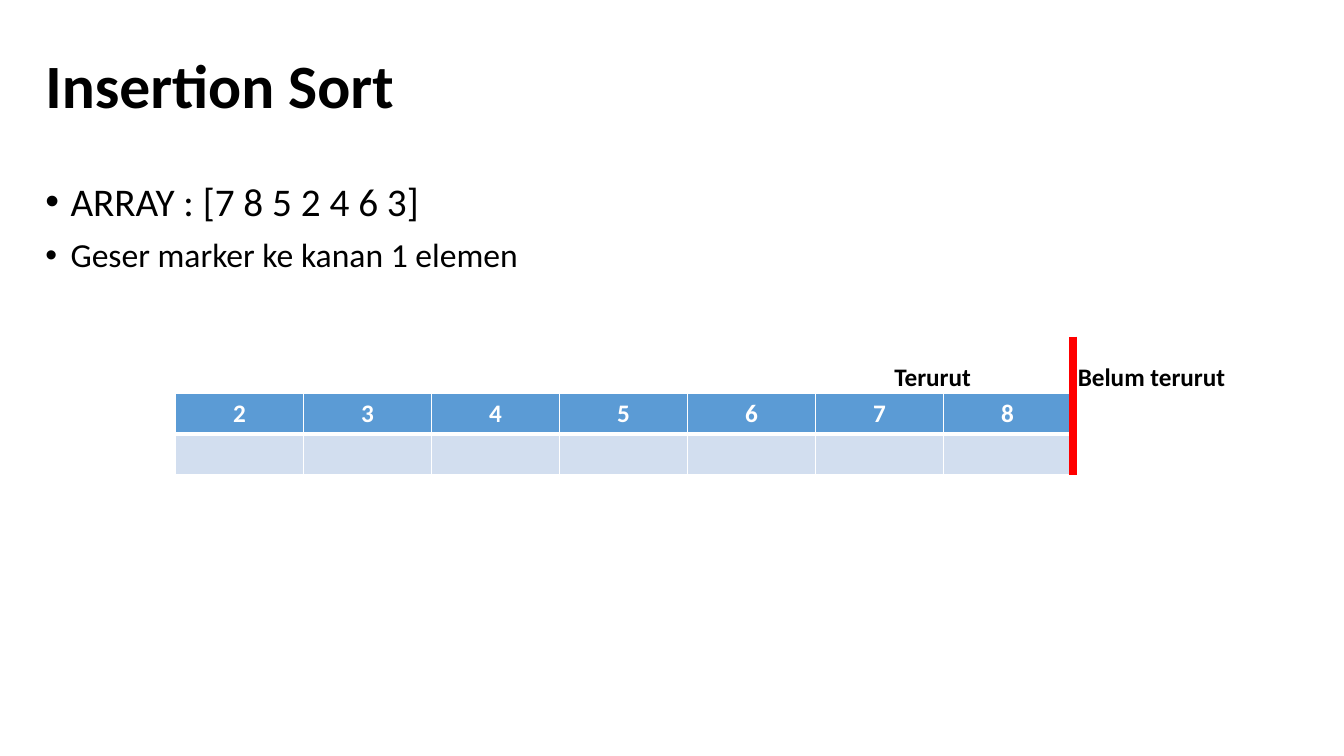
from pptx import Presentation
from pptx.dml.color import RGBColor
from pptx.enum.shapes import MSO_CONNECTOR
from pptx.enum.text import MSO_ANCHOR, MSO_AUTO_SIZE, PP_ALIGN
from pptx.oxml.ns import qn
from pptx.util import Inches, Pt
from lxml import etree

LEFT, CENTER = PP_ALIGN.LEFT, PP_ALIGN.CENTER
TOP, MIDDLE = MSO_ANCHOR.TOP, MSO_ANCHOR.MIDDLE
NO_FIT = MSO_AUTO_SIZE.NONE
STRAIGHT = MSO_CONNECTOR.STRAIGHT


def color(code):
    return RGBColor.from_string(code)


def write(para, text, size=18, bold=False, ink="000000", align=LEFT, font="Calibri"):
    para.alignment = align
    run = para.add_run()
    run.text = text
    run.font.name = font
    run.font.size = Pt(size)
    run.font.bold = bold
    run.font.color.rgb = color(ink)


class Deck:
    WHITE, BLUE, PALE, RED = "FFFFFF", "5B9BD5", "D2DEEF", "FF0000"

    def __init__(self):
        self.prs = Presentation()
        self.prs.slide_width = Inches(13.33)
        self.prs.slide_height = Inches(7.5)
        self.slide = self.prs.slides.add_slide(self.prs.slide_layouts[1])

    def frame(self, shape, box, anchor):
        shape.left, shape.top, shape.width, shape.height = map(Inches, box)
        frame = shape.text_frame
        frame.word_wrap = True
        frame.auto_size = NO_FIT
        frame.vertical_anchor = anchor
        return frame

    def title(self, text, box):
        para = self.frame(self.slide.shapes.title, box, MIDDLE).paragraphs[0]
        para.line_spacing = 0.9
        write(para, text, size=44, bold=True)

    def bullets(self, items, box):
        frame = self.frame(self.slide.placeholders[1], box, TOP)
        for i, (text, size, level) in enumerate(items):
            para = frame.add_paragraph() if i else frame.paragraphs[0]
            para.level = level
            para.line_spacing = 0.9
            para.space_before = Pt(10)
            write(para, text, size=size)
            props = para._p.get_or_add_pPr()
            props.set("marL", str(Inches(0.25)))
            props.set("indent", str(-Inches(0.25)))
            etree.SubElement(props, qn("a:buFont"), typeface="Arial")
            etree.SubElement(props, qn("a:buChar"), char="•")

    def edge(self, cell, widths):
        """Set the left, right, top and bottom borders; 0 hides one."""
        props = cell._tc.get_or_add_tcPr()
        for i, (side, width) in enumerate(zip("LRTB", widths)):
            line = etree.Element(qn(f"a:ln{side}"), w=str(Pt(width)))
            if width:
                fill = etree.SubElement(line, qn("a:solidFill"))
                etree.SubElement(fill, qn("a:srgbClr"), val=self.WHITE)
            else:
                etree.SubElement(line, qn("a:noFill"))
            props.insert(i, line)

    def table(self, rows, box, fills, edges, **style):
        count = len(rows[0])
        grid = self.slide.shapes.add_table(len(rows), count, *map(Inches, box)).table
        for r, row in enumerate(rows):
            for c, text in enumerate(row):
                cell = grid.cell(r, c)
                if fills[r]:
                    cell.fill.solid()
                    cell.fill.fore_color.rgb = color(fills[r])
                else:
                    cell.fill.background()
                self.edge(cell, edges[r])
                if text:
                    write(cell.text_frame.paragraphs[0], text, **style)

    def line(self, start, end, ink, width):
        line = self.slide.shapes.add_connector(STRAIGHT, *map(Inches, start + end))
        line.line.color.rgb = color(ink)
        line.line.width = Pt(width)
        etree.SubElement(line._element.spPr, qn("a:effectLst"))


def main():
    deck = Deck()

    # Title and steps
    deck.title("Insertion Sort", (0.35, 0.15, 10.98, 1.45))
    deck.bullets(
        [("ARRAY : [7 8 5 2 4 6 3]", 28, 0), ("Geser marker ke kanan 1 elemen", 24, 1)],
        (0.35, 1.76, 12.66, 5.05),
    )

    # Sorted array
    deck.table(
        ["2345678", [""] * 7],
        (1.74, 3.9, 8.89, 0.81),
        fills=[deck.BLUE, deck.PALE],
        edges=[(1, 1, 1, 3), (1, 1, 3, 1)],
        bold=True, ink=deck.WHITE, align=CENTER,
    )

    # Labels on both sides of the marker
    deck.table(
        [["Terurut", "Belum terurut"]],
        (8.77, 3.55, 3.64, 0.41),
        fills=[None],
        edges=[(0, 0, 0, 0)],
        bold=True,
    )

    # Marker
    deck.line((10.64, 3.34), (10.64, 4.71), deck.RED, 6)

    deck.prs.save("out.pptx")


if __name__ == "__main__":
    main()
